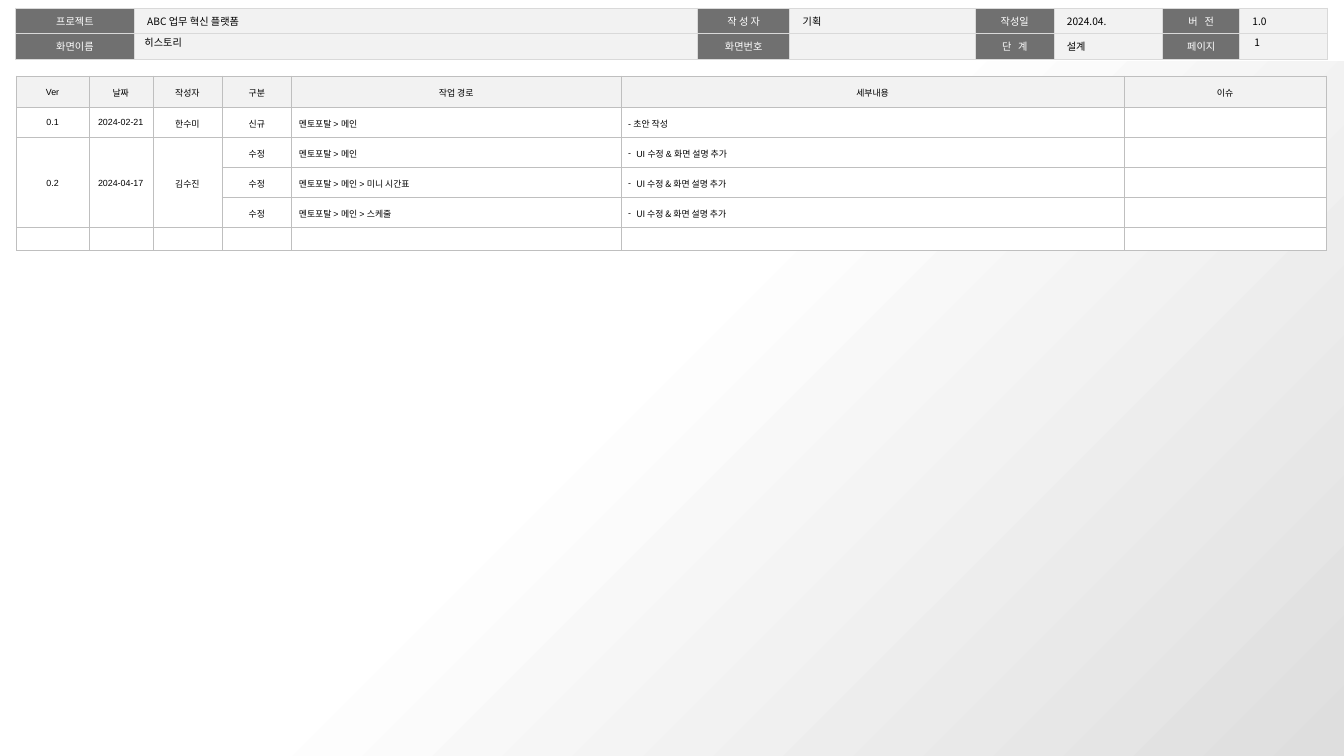
import pptx
import pptx.util
import pptx.dml.color
import pptx.enum.shapes
import pptx.enum.text
import pptx.oxml.ns
import lxml.etree

PX = 9144
NOTO = "Noto Sans CJK KR"
qn = pptx.oxml.ns.qn
ANCHOR = pptx.enum.text.MSO_ANCHOR
CENTER = pptx.enum.text.PP_ALIGN.CENTER
LEFT = pptx.enum.text.PP_ALIGN.LEFT


def px(n):
    return pptx.util.Emu(n * PX)


def rgb(value):
    return pptx.dml.color.RGBColor.from_string(value)


def add_run(p, text, size, font, color, spacing=0):
    r = p.add_run()
    r.text = text
    r.font.size = pptx.util.Pt(size)
    r.font.name = font
    r.font.color.rgb = rgb(color)
    rPr = r.font._element
    lxml.etree.SubElement(rPr, qn("a:ea"), typeface=NOTO)
    if spacing:
        rPr.set("spc", str(spacing))


def set_bullet(p, indent):
    pPr = p._p.get_or_add_pPr()
    pPr.set("marL", str(indent * PX))
    pPr.set("indent", str(-indent * PX))
    lxml.etree.SubElement(pPr, qn("a:buFont"), typeface="Arial")
    lxml.etree.SubElement(pPr, qn("a:buChar"), char="-")


def set_borders(cell, color, width):
    tcPr = cell._tc.get_or_add_tcPr()
    for side in ("lnL", "lnR", "lnT", "lnB"):
        ln = lxml.etree.SubElement(tcPr, qn(f"a:{side}"), w=str(pptx.util.Pt(width)))
        fill = lxml.etree.SubElement(ln, qn("a:solidFill"))
        lxml.etree.SubElement(fill, qn("a:srgbClr"), val=color)


def add_grid(s, x, y, cols, rows, border, width):
    frame = s.shapes.add_table(len(rows), len(cols), px(x), px(y), px(sum(cols)), px(sum(rows)))
    table = frame.table
    table.first_row = False
    table.horz_banding = False
    for col, w in zip(table.columns, cols):
        col.width = px(w)
    for row, h in zip(table.rows, rows):
        row.height = px(h)
    for cell in table.iter_cells():
        set_borders(cell, border, width)
    return table


def fill_cell(cell, text, fill, insets, anchor, align, spacing, size, font, color, tracking=0):
    cell.fill.solid()
    cell.fill.fore_color.rgb = rgb(fill)
    cell.margin_left, cell.margin_top, cell.margin_right, cell.margin_bottom = map(px, insets)
    cell.vertical_anchor = anchor
    p = cell.text_frame.paragraphs[0]
    p.alignment = align
    p.line_spacing = spacing
    if text:
        add_run(p, text, size, font, color, tracking)
    else:
        lxml.etree.SubElement(p._p, qn("a:endParaRPr"), sz=str(size * 100))
    return p


def add_header(s, x, y):
    texts = [
        ["프로젝트", "ABC 업무 혁신 플랫폼", "작 성 자", "기획", "작성일", "2024.04.", "버 전", "1.0"],
        ["화면이름", "", "화면번호", "", "단 계", "설계", "페이지", ""],
    ]
    wide_labels = ("버 전", "단 계")
    cols = [130, 616, 101, 203, 86, 119, 84, 96]
    table = add_grid(s, x, y, cols, [28, 28], "D9D9D9", 1)
    for i, row in enumerate(texts):
        for j, text in enumerate(row):
            label = j % 2 == 0
            fill_cell(table.cell(i, j), text, "707070" if label else "F2F2F2",
                      (14, 5, 14, 5), ANCHOR.TOP, CENTER if label else LEFT, 1.05,
                      8, NOTO, "FFFFFF" if label else "000000",
                      180 if text in wide_labels else 0)


def add_backdrop(s, x, y, w, h):
    sp = s.shapes.add_shape(pptx.enum.shapes.MSO_SHAPE.RECTANGLE, px(x), px(y), px(w), px(h))
    sp.shadow.inherit = False
    sp.line.fill.background()
    sp.fill.gradient()
    sp.fill.gradient_angle = 315
    for stop, (position, color) in zip(sp.fill.gradient_stops, [(0.45, "FFFFFF"), (1, "DEDEDE")]):
        stop.position = position
        stop.color.rgb = rgb(color)


def add_label(s, x, y, w, h, text, inset):
    tf = s.shapes.add_textbox(px(x), px(y), px(w), px(h)).text_frame
    tf.word_wrap = True
    tf.vertical_anchor = ANCHOR.MIDDLE
    tf.margin_left = tf.margin_right = px(inset)
    tf.margin_top = tf.margin_bottom = px(5)
    add_run(tf.paragraphs[0], text, 8, NOTO, "000000")


def add_history(s, x, y):
    change = "UI 수정 & 화면 설명 추가"
    texts = [
        ["Ver", "날짜", "작성자", "구분", "작업 경로", "세부내용", "이슈"],
        ["0.1", "2024-02-21", "한수미", "신규", "멘토포탈 > 메인", "- 초안 작성", ""],
        ["0.2", "2024-04-17", "김수진", "수정", "멘토포탈 > 메인", change, ""],
        ["", "", "", "수정", "멘토포탈 > 메인 > 미니 시간표", change, ""],
        ["", "", "", "수정", "멘토포탈 > 메인 > 스케줄", change, ""],
        [""] * 7,
    ]
    cols = [79, 70, 76, 76, 360, 551, 220]
    table = add_grid(s, x, y, cols, [34, 33, 33, 33, 33, 25], "BFBFBF", 0.25)
    for i, row in enumerate(texts):
        for j, text in enumerate(row):
            centered = i == 0 or j < 4
            font = NOTO if text == change and i > 2 else "Arial"
            p = fill_cell(table.cell(i, j), text, "FFFFFF" if i else "F2F2F2",
                          (8, 4, 8, 8), ANCHOR.MIDDLE, CENTER if centered else LEFT,
                          1.5 if text else 1, 7, font, "000000")
            if text == change:
                set_bullet(p, 9)
    for j in range(3):
        table.cell(2, j).merge(table.cell(4, j))


def main():
    prs = pptx.Presentation()
    prs.slide_width, prs.slide_height = px(1470), px(827)
    s = prs.slides.add_slide(prs.slide_layouts[6])
    add_header(s, 17, 9)
    add_backdrop(s, 0, 67, 1470, 760)
    add_label(s, 1362, 38, 72, 16, "1", 10)
    add_label(s, 147, 38, 542, 16, "히스토리", 11)
    add_history(s, 18, 83)
    prs.save("out.pptx")


if __name__ == "__main__":
    main()
